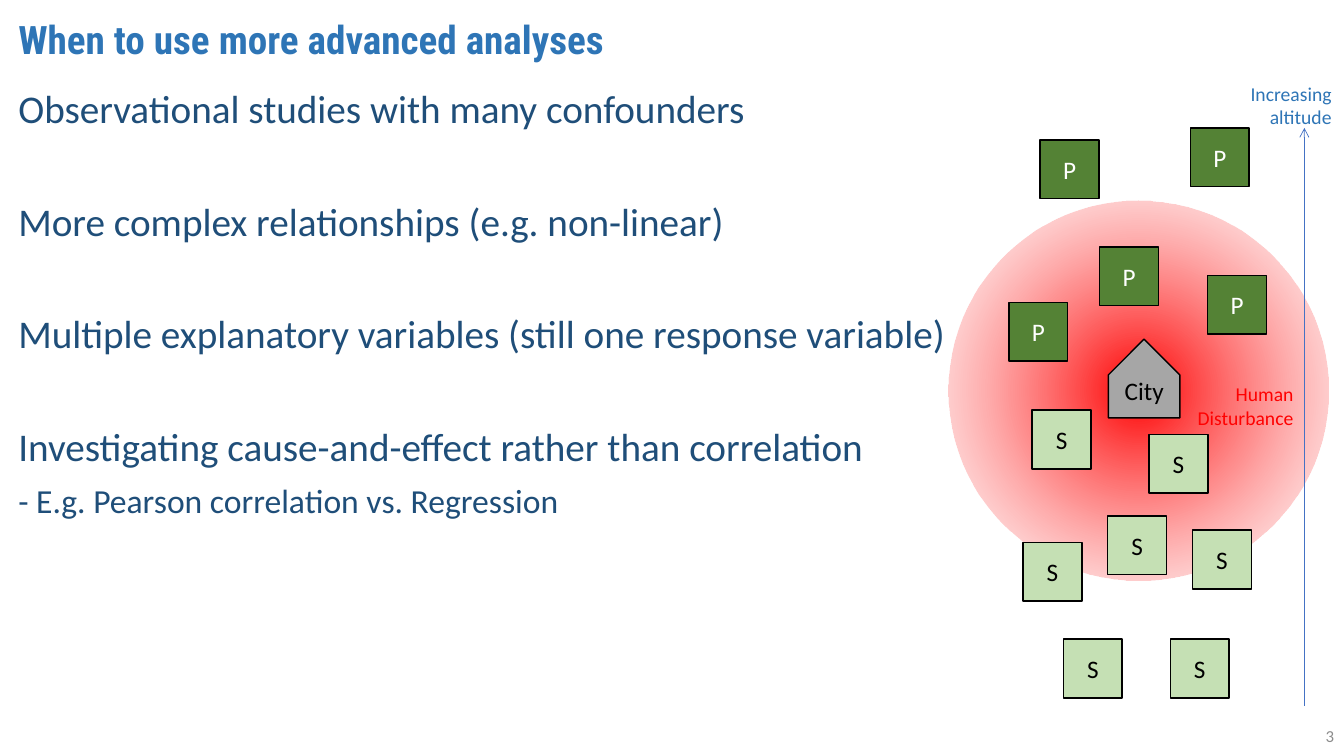
import dataclasses

import pptx
import pptx.dml.color
import pptx.enum.dml
import pptx.enum.shapes
import pptx.enum.text
import pptx.oxml
import pptx.oxml.ns
import pptx.util

Pt = pptx.util.Pt
RGB = pptx.dml.color.RGBColor.from_string
SHAPE = pptx.enum.shapes.MSO_SHAPE
ALIGN = pptx.enum.text.PP_ALIGN
ANCHOR = pptx.enum.text.MSO_ANCHOR
NS = pptx.oxml.ns.nsdecls("a")


@dataclasses.dataclass(frozen=True)
class Theme:
    title_font: str = "Roboto Condensed"
    body_font: str = "Calibri"
    heading: str = "2E75B6"
    body: str = "1F4E79"
    muted: str = "8C8C8C"
    primary: str = "548235"
    secondary: str = "C5E0B4"
    city: str = "A6A6A6"
    disturbance: str = "FF0000"
    axis: str = "4472C4"
    black: str = "000000"
    white: str = "FFFFFF"
    big: int = 28
    sub: int = 24
    mark: int = 18
    label: int = 14
    small: int = 12


T = Theme()

TOPICS = [
    "Observational studies with many confounders",
    "More complex relationships (e.g. non-linear)",
    "Multiple explanatory variables (still one response variable)",
    "Investigating cause-and-effect rather than correlation",
]
EXAMPLE = "- E.g. Pearson correlation vs. Regression"

# Plot corners relative to the map box
PLOT_SIZE = 42
PRIMARY_PLOTS = [(66, 46), (108.5, 122.4), (43.7, 162), (185.6, 142.6), (173.3, 37.4)]
SECONDARY_PLOTS = [(114.3, 314.6), (60.3, 239), (143.8, 256.3), (82.6, 402.5),
                   (174.8, 324.7), (53.8, 333.4), (158.9, 402.5)]


def style(p, text, size, color, font=T.body_font, align=ALIGN.LEFT):
    p.text = text
    p.alignment = align
    p.font.name = font
    p.font.size = Pt(size)
    p.font.color.rgb = RGB(color)


def add_text(slide, box, text, size, color, anchor=ANCHOR.TOP, wrap=True, **kw):
    tf = slide.shapes.add_textbox(*map(Pt, box)).text_frame
    tf.word_wrap = wrap
    tf.vertical_anchor = anchor
    style(tf.paragraphs[0], text, size, color, **kw)
    return tf


def add_shape(slide, kind, box, fill):
    sp = slide.shapes.add_shape(kind, *map(Pt, box))
    sp.shadow.inherit = False
    sp.fill.solid()
    sp.fill.fore_color.rgb = RGB(fill)
    sp.line.color.rgb = RGB(T.black)
    sp.line.width = Pt(1)
    return sp


def add_title(slide, box):
    tf = add_text(slide, box, "When to use more advanced analyses", T.big,
                  T.heading, anchor=ANCHOR.MIDDLE, font=T.title_font)
    p = tf.paragraphs[0]
    p.font.bold = True
    p.line_spacing = 0.9


def add_topics(slide, box):
    tf = add_text(slide, box, TOPICS[0], T.big, T.body)
    for topic in TOPICS[1:]:
        p = tf.add_paragraph()
        style(p, topic, T.big, T.body)
        p.space_before = Pt(50.25)
    p = tf.add_paragraph()
    style(p, EXAMPLE, T.sub, T.body)
    p.space_before = Pt(10)
    tf.paragraphs[0].space_before = Pt(10)
    for p in tf.paragraphs:
        p.line_spacing = 0.9


def add_disturbance(slide, box):
    sp = add_shape(slide, SHAPE.OVAL, box, T.disturbance)
    sp.line.fill.background()
    # Radial fade from the centre
    solid = sp.fill._xPr.find(pptx.oxml.ns.qn("a:solidFill"))
    grad = pptx.oxml.parse_xml(
        f'<a:gradFill {NS} rotWithShape="1"><a:gsLst>'
        f'<a:gs pos="0"><a:srgbClr val="{T.disturbance}"/></a:gs>'
        f'<a:gs pos="100000"><a:srgbClr val="{T.white}"><a:alpha val="54000"/></a:srgbClr></a:gs>'
        '</a:gsLst><a:path path="circle">'
        '<a:fillToRect l="50000" t="50000" r="50000" b="50000"/></a:path></a:gradFill>')
    solid.getparent().replace(solid, grad)


def add_plots(slide, x, y, corners, letter, fill, color):
    for dx, dy in corners:
        sp = add_shape(slide, SHAPE.RECTANGLE, (x + dx, y + dy, PLOT_SIZE, PLOT_SIZE), fill)
        tf = sp.text_frame
        tf.vertical_anchor = ANCHOR.MIDDLE
        style(tf.paragraphs[0], letter, T.mark, color, align=ALIGN.CENTER)


def add_altitude_axis(slide, x, bottom, top):
    line = slide.shapes.add_connector(pptx.enum.shapes.MSO_CONNECTOR.STRAIGHT,
                                      Pt(x), Pt(bottom), Pt(x), Pt(top))
    line.line.color.rgb = RGB(T.axis)
    line.line.width = Pt(0.5)
    ln = line.line._get_or_add_ln()
    ln.append(pptx.oxml.parse_xml(f'<a:tailEnd {NS} type="arrow"/>'))
    ln.addnext(pptx.oxml.parse_xml(f'<a:effectLst {NS}/>'))


def add_map(slide, box):
    x, y, w, h = box
    add_disturbance(slide, (x + 0.5, y + 89.3, 271.5, 271.5))

    # City
    house = add_shape(slide, SHAPE.PENTAGON, (x + 112.1, y + 190.8, 56.2, 51.1), T.city)
    house.rotation = 270
    add_text(slide, (x + 119.3, y + 210.2, 42.5, 29), "City", T.mark, T.black, wrap=False)

    # Sample plots
    add_plots(slide, x, y, PRIMARY_PLOTS, "P", T.primary, T.white)
    add_plots(slide, x, y, SECONDARY_PLOTS, "S", T.secondary, T.black)

    # Gradient labels
    add_altitude_axis(slide, x + 254.7, y + h, y + 37.4)
    add_text(slide, (x + w - 75.5, y + 0.7, 75.5, 41), "Increasing altitude",
             T.label, T.heading, align=ALIGN.RIGHT)
    add_text(slide, (x + 161.8, y + 215.3, 92.2, 41), "Human Disturbance",
             T.label, T.disturbance, align=ALIGN.RIGHT)


def add_page_number(slide, box):
    add_text(slide, box, "3", T.small, T.muted, anchor=ANCHOR.MIDDLE, align=ALIGN.RIGHT)


def main():
    prs = pptx.Presentation()
    prs.slide_width, prs.slide_height = Pt(960), Pt(540)
    slide = prs.slides.add_slide(prs.slide_layouts[6])
    add_title(slide, (6, 8.5, 948, 43))
    add_topics(slide, (6, 60.5, 948, 478))
    add_page_number(slide, (744, 511, 216, 29))
    add_map(slide, (677, 54, 281.3, 450))
    prs.save("out.pptx")


if __name__ == "__main__":
    main()
